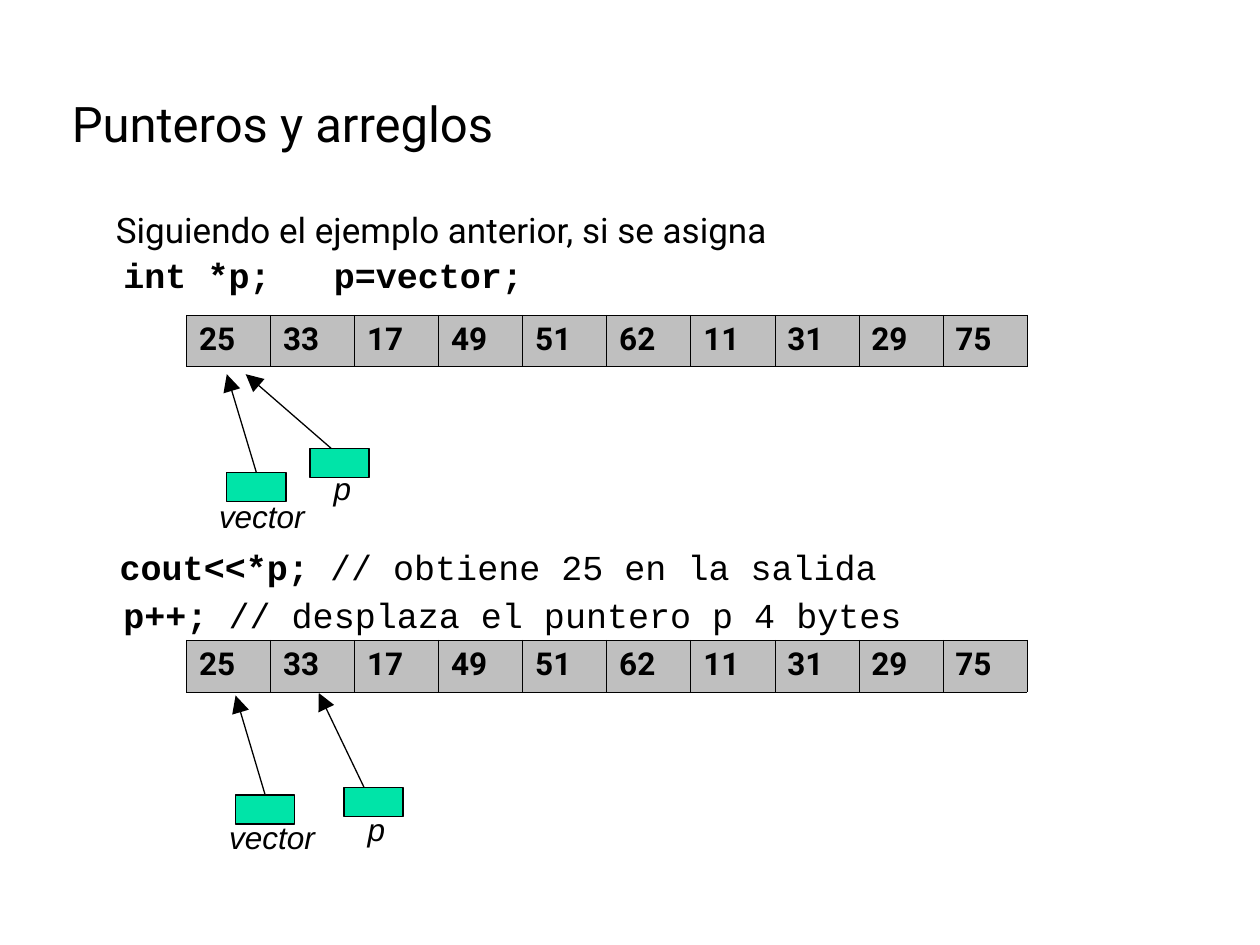
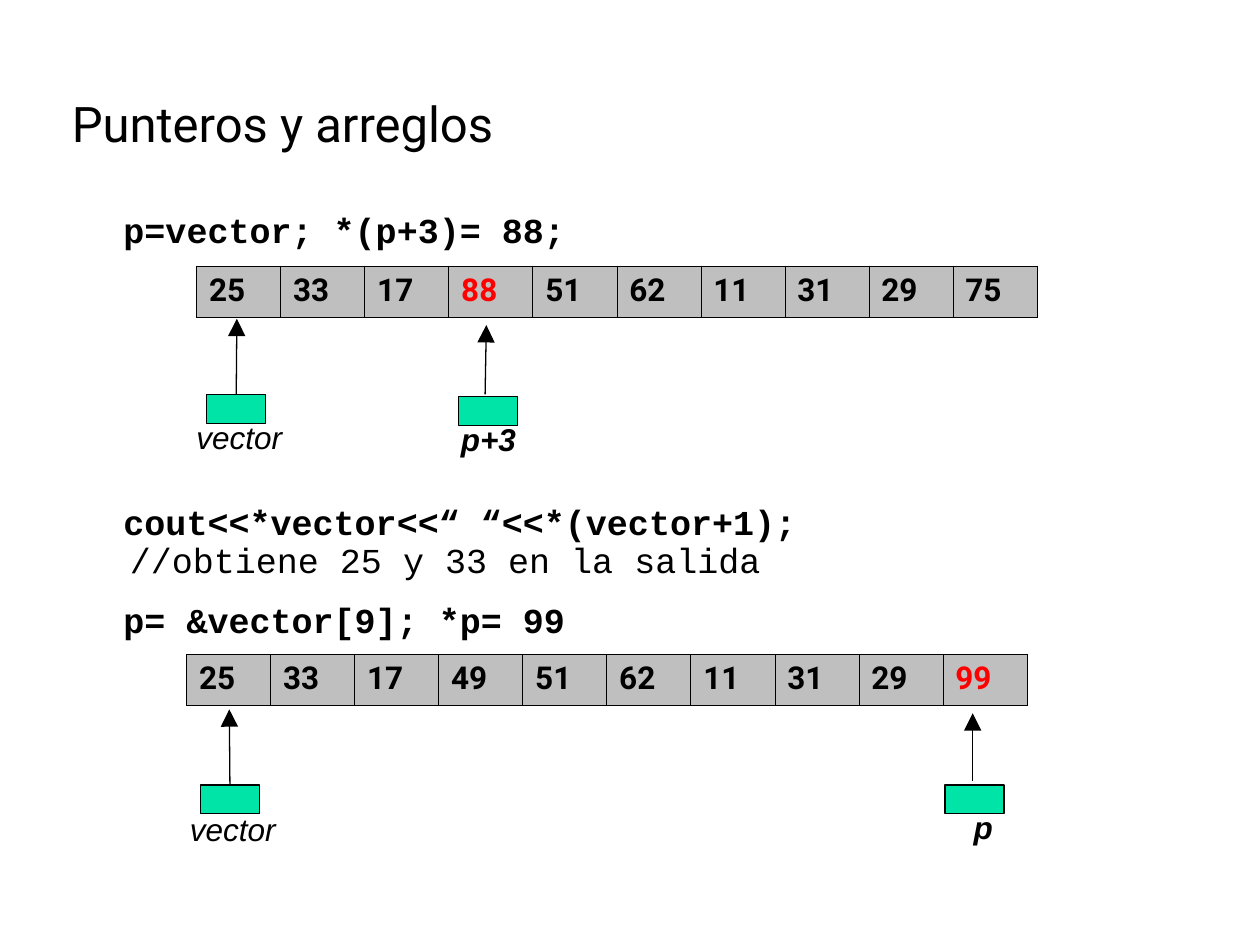
from dataclasses import dataclass

from lxml.etree import SubElement
from pptx import Presentation
from pptx.dml.color import RGBColor
from pptx.enum.shapes import MSO_CONNECTOR, MSO_SHAPE
from pptx.enum.text import MSO_ANCHOR, MSO_AUTO_SIZE, PP_ALIGN
from pptx.oxml.ns import qn
from pptx.util import Inches, Pt


@dataclass(frozen=True)
class Theme:
    ink: RGBColor = RGBColor(0, 0, 0)
    red: RGBColor = RGBColor(0xFF, 0, 0)
    gray: RGBColor = RGBColor(0xBF, 0xBF, 0xBF)
    green: RGBColor = RGBColor(0, 0xE4, 0xA8)
    sans: str = "Roboto"
    code: str = "Courier New"
    label: str = "Arial"
    title_size: int = 28
    body_size: int = 20
    small_size: int = 18
    pitch: int = 22  # line height of the body


THEME = Theme()
TITLE = "Punteros y arreglos"
VECTOR = [25, 33, 17, 49, 51, 62, 11, 31, 29, 75]
BOX = (0.47, 0.23)
GAP = " "  # a run of its own, widened to separate two statements
GAP_SIZE = 24

# Lines: font, space before (pt), left margin, first indent, [(text, bold)].
# Arrays: left, top, changed values by index.
# Pointers: name, bold, box, label (left, top, width, indent),
#           arrow start (None: middle of the box top), arrow tip.
SLIDES = [
    dict(
        lines=[
            (THEME.sans, 0, 0, 0,
             [("Siguiendo el ejemplo anterior, si se asigna", False)]),
            (THEME.code, 4, 0.06, 0,
             [("int *p;", True), (GAP, True), ("p=vector;", True)]),
            (THEME.code, 145, 0.03, 0,
             [("cout<<*p; ", True), ("// obtiene 25 en la salida", False)]),
            (THEME.code, 5, 0.06, 0,
             [("p++; ", True), ("// desplaza el puntero p 4 bytes", False)]),
        ],
        arrays=[(1.48, 2.5, {}), (1.48, 5.08, {})],
        pointers=[
            ("p", False, (2.46, 3.56), (2.55, 3.71, 0.39, 0),
             (2.63, 3.56), (1.95, 2.97)),
            ("vector", False, (1.8, 3.75), (1.64, 3.93, 0.94, 0),
             None, (1.8, 2.97)),
            ("p", False, (2.73, 6.25), (2.82, 6.41, 0.39, 0),
             (2.89, 6.25), (2.53, 5.5)),
            ("vector", False, (1.87, 6.31), (1.72, 6.48, 0.94, 0),
             None, (1.87, 5.52)),
        ],
    ),
    dict(
        lines=[
            (THEME.code, 0, 0.06, 0, [("p=vector; *(p+3)= 88;", True)]),
            (THEME.code, 145, 0.11, -0.05,
             [("cout<<*vector<<“ “<<*(vector+1);\v", True),
              ("//obtiene 25 y 33 en la salida", False)]),
            (THEME.code, 12, 0.06, 0, [("p= &vector[9]; *p= 99", True)]),
        ],
        arrays=[(1.56, 2.11, {3: 88}), (1.48, 5.19, {9: 99})],
        pointers=[
            ("p+3", True, (3.64, 3.15), (3.56, 3.32, 0.7, 0),
             (3.85, 3.13), (3.86, 2.58)),
            ("vector", False, (1.64, 3.13), (1.46, 3.3, 0.94, 0),
             None, (1.88, 2.53)),
            ("p", True, (7.5, 6.23), (7.42, 6.4, 0.7, 0.21),
             (7.72, 6.2), (7.72, 5.66)),
            ("vector", False, (1.59, 6.23), (1.41, 6.41, 0.94, 0),
             None, (1.82, 5.63)),
        ],
    ),
]


def place(shape, *at):
    shape.left, shape.top, shape.width, shape.height = map(Inches, at)


def style(font, name, size, color=THEME.ink):
    font.name, font.size = name, Pt(size)
    font.color.rgb = color


def indent(para, left, first=0):
    props = para._p.get_or_add_pPr()
    props.set("marL", str(Inches(left)))
    props.set("indent", str(Inches(first)))
    return props


def add_title(slide):
    title = slide.shapes.title
    place(title, 0.47, 0.7, 8.52, 0.56)
    frame = title.text_frame
    frame.text = TITLE
    frame.auto_size = MSO_AUTO_SIZE.NONE
    frame.vertical_anchor = MSO_ANCHOR.BOTTOM
    para = frame.paragraphs[0]
    para.alignment = PP_ALIGN.LEFT
    style(para.font, THEME.sans, THEME.title_size)


def add_body(slide, lines):
    body = slide.placeholders[1]
    place(body, 0.55, 1.64, 9.13, 5.17)
    frame = body.text_frame
    frame.auto_size = MSO_AUTO_SIZE.NONE
    frame.margin_left, frame.margin_top = Inches(0.37), Inches(0.04)
    for i, (face, gap, left, first, runs) in enumerate(lines):
        para = frame.add_paragraph() if i else frame.paragraphs[0]
        para.space_before, para.line_spacing = Pt(gap), Pt(THEME.pitch)
        SubElement(indent(para, left, first), qn("a:buNone"))
        style(para.font, face, THEME.body_size)
        for text, bold in runs:
            run = para.add_run()
            run.text = text.rstrip("\v")
            run.font.bold = bold
            style(run.font, face, THEME.body_size)
            if text == GAP:
                run._r.get_or_add_rPr().set("spc", str(GAP_SIZE * 100))
            if text.endswith("\v"):
                para.add_line_break()


def add_border(cell):
    props = cell._tc.get_or_add_tcPr()
    for side in "LRTB":
        line = SubElement(props, qn(f"a:ln{side}"), w=str(Pt(0.23)))
        fill = SubElement(line, qn("a:solidFill"))
        SubElement(fill, qn("a:srgbClr"), val=str(THEME.ink))


def add_array(slide, left, top, changed):
    frame = slide.shapes.add_table(1, len(VECTOR), Inches(left), Inches(top),
                                   Inches(6.67), Inches(0.41))
    table = frame.table
    table.first_row = table.horz_banding = False
    for i, value in enumerate(VECTOR):
        table.columns[i].width = Inches(6.67 / len(VECTOR))
        cell = table.cell(0, i)
        add_border(cell)
        cell.fill.solid()
        cell.fill.fore_color.rgb = THEME.gray
        cell.text = str(changed.get(i, value))
        font = cell.text_frame.paragraphs[0].font
        style(font, THEME.sans, THEME.small_size,
              THEME.red if i in changed else THEME.ink)
        font.bold = True


def add_label(slide, name, bold, left, top, width, shift):
    box = slide.shapes.add_textbox(*map(Inches, (left, top, width, 0.37)))
    frame = box.text_frame
    frame.word_wrap = True
    frame.auto_size = MSO_AUTO_SIZE.SHAPE_TO_FIT_TEXT
    frame.text = name
    para = frame.paragraphs[0]
    para.line_spacing, para.space_before = 0.9, Pt(4.5)
    indent(para, shift)
    style(para.font, THEME.label, THEME.small_size)
    para.font.bold, para.font.italic = bold, True


def add_pointer(slide, name, bold, corner, label, start, tip):
    """Draw a pointer variable: its label, its box and its arrow."""
    add_label(slide, name, bold, *label)
    box = slide.shapes.add_shape(MSO_SHAPE.RECTANGLE,
                                 *map(Inches, corner + BOX))
    box.shadow.inherit = False
    box.fill.solid()
    box.fill.fore_color.rgb = THEME.green
    arrow = slide.shapes.add_connector(MSO_CONNECTOR.STRAIGHT,
                                       *map(Inches, (start or corner) + tip))
    if start is None:
        arrow.begin_connect(box, 0)
    for shape in (box, arrow):
        shape.line.color.rgb = THEME.ink
        shape.line.width = Pt(0.75)
    SubElement(arrow.line._get_or_add_ln(), qn("a:tailEnd"),
               type="triangle", w="lg", len="lg")
    SubElement(arrow._element.spPr, qn("a:effectLst"))


def main():
    deck = Presentation()
    deck.slide_width, deck.slide_height = Inches(10), Inches(7.5)
    for page in SLIDES:
        slide = deck.slides.add_slide(deck.slide_layouts[1])
        add_title(slide)
        add_body(slide, page["lines"])
        for array in page["arrays"]:
            add_array(slide, *array)
        for pointer in page["pointers"]:
            add_pointer(slide, *pointer)
    deck.save("out.pptx")


if __name__ == "__main__":
    main()
